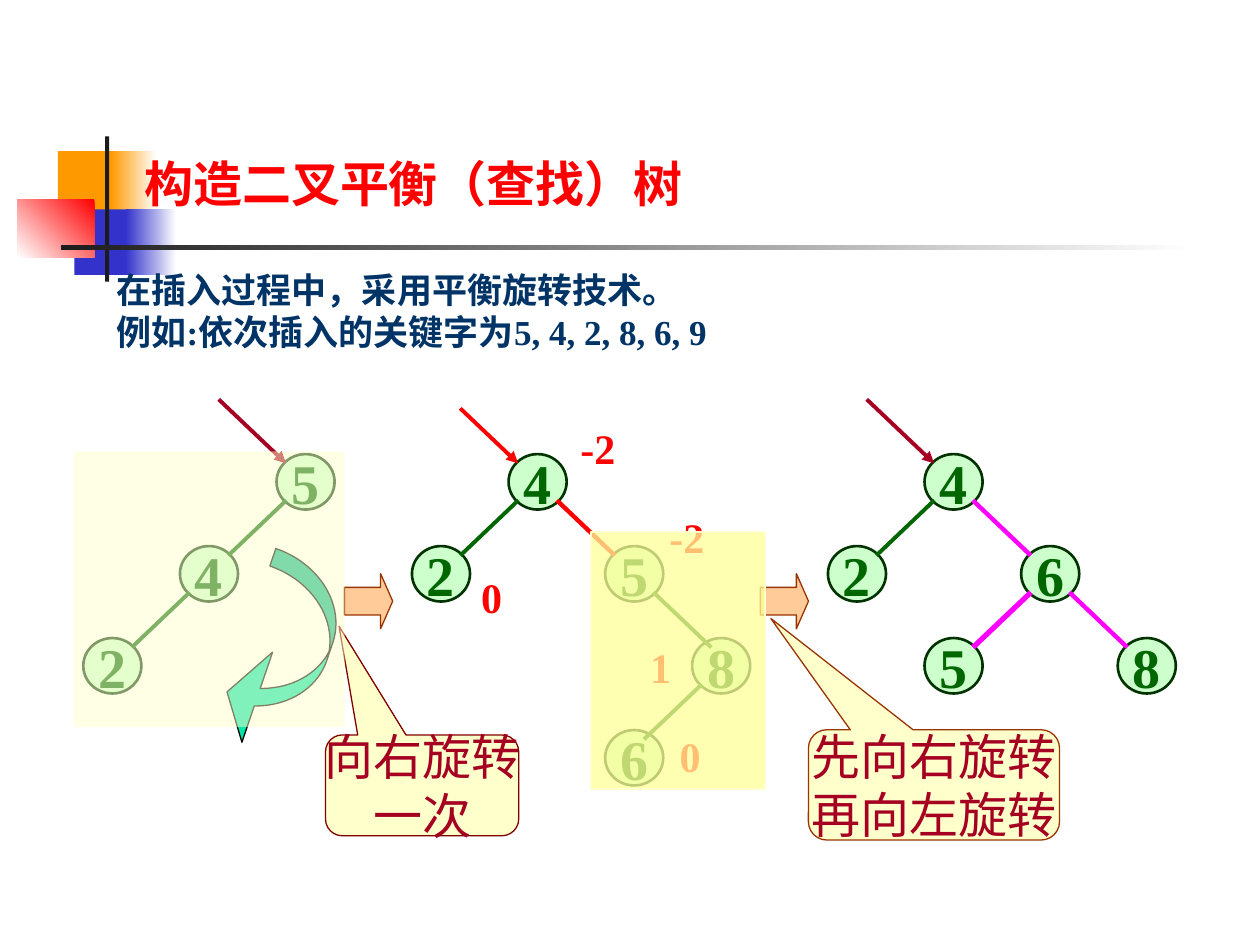
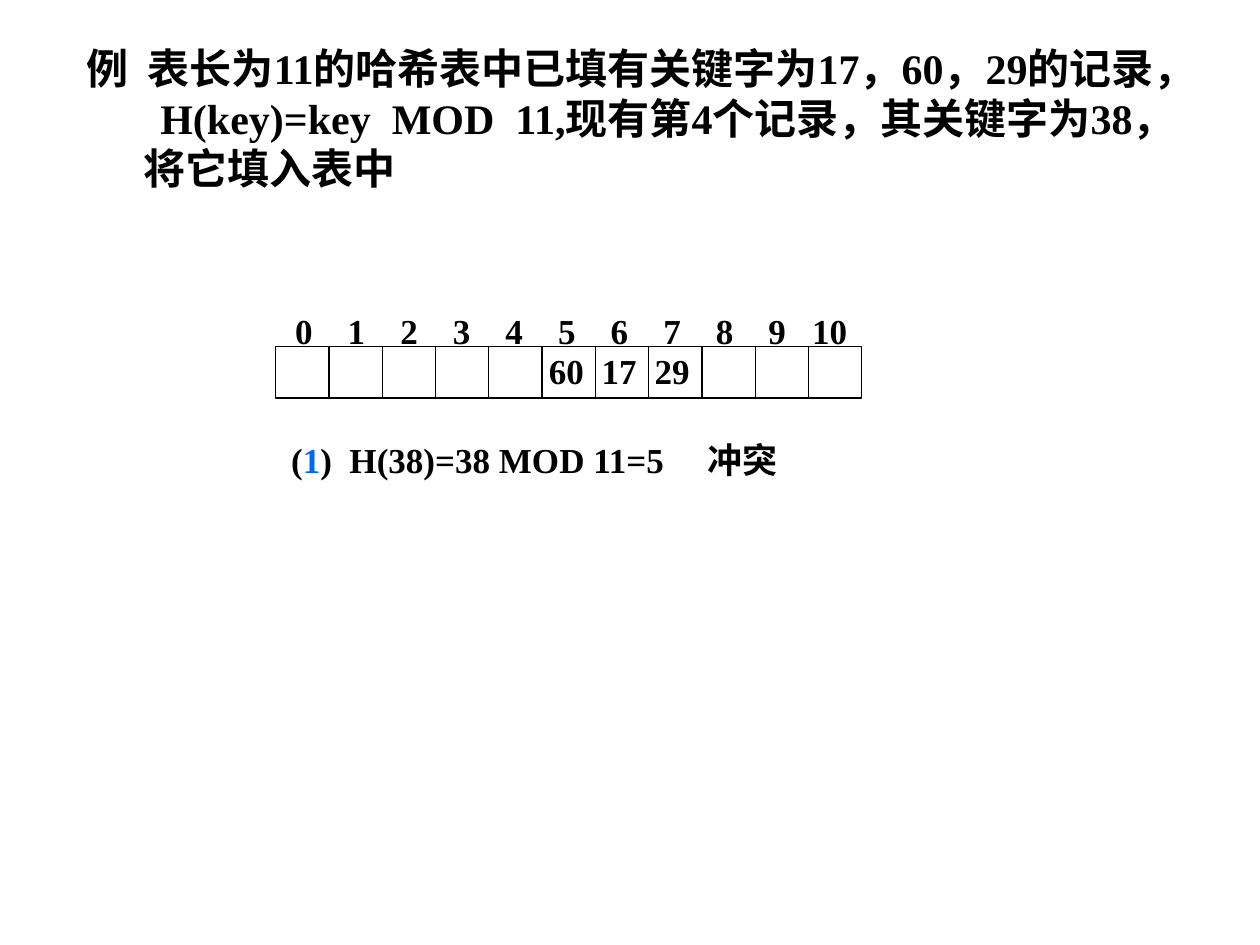
import pptx
import pptx.dml.color
import pptx.enum.shapes
import pptx.enum.text
import pptx.oxml.ns
import pptx.util
import lxml.etree

Pt = pptx.util.Pt
SHAPE = pptx.enum.shapes.MSO_SHAPE
ANCHOR = pptx.enum.text.MSO_ANCHOR
ALIGN = pptx.enum.text.PP_ALIGN

FONT = "Times New Roman"
COLORS = {
    "white": "FFFFFF", "black": "000000", "charcoal": "1C1C1C",
    "orange": "FF9900", "blue": "3333CC", "red": "FF0000",
    "navy": "003366", "link": "0066FF",
    "node": "CCFFCC", "node_line": "003300", "green": "006600",
    "magenta": "FF00FF", "crimson": "A50021", "maroon": "800000",
    "peach": "FFCC99", "brown": "993300",
    "cream": "FFFFCC", "yellow": "FFFF99", "teal": "00E4A8",
}
NODE_WIDTH, NODE_HEIGHT = 33.2, 31.7
COLUMN_STEP, ROW_STEP = 55.2, 52.56
ROOT_TOP = 259.5


def rgb(name):
    return pptx.dml.color.RGBColor.from_string(COLORS[name])


def add_xml(parent, tag, **attributes):
    return lxml.etree.SubElement(parent, pptx.oxml.ns.qn(tag), attributes)


def format_text(text_frame, size, color, bold=True, align=None):
    for paragraph in text_frame.paragraphs:
        paragraph.alignment = align
        for run in paragraph.runs:
            run.font.name = FONT
            run.font.size = Pt(size)
            run.font.bold = bold
            run.font.color.rgb = rgb(color)


def place(shape, left, top, width, height):
    shape.left, shape.top = Pt(left), Pt(top)
    shape.width, shape.height = Pt(width), Pt(height)


def add_shape(slide, kind, box, fill, line=None, weight=0.75, opacity=None):
    shape = slide.shapes.add_shape(kind, *map(Pt, box))
    shape.shadow.inherit = False
    if fill:
        shape.fill.solid()
        shape.fill.fore_color.rgb = rgb(fill)
    else:
        shape.fill.background()
    if opacity:
        color = shape.fill._xPr.find(".//" + pptx.oxml.ns.qn("a:srgbClr"))
        add_xml(color, "a:alpha", val=str(opacity * 1000))
    if line:
        shape.line.color.rgb = rgb(line)
        shape.line.width = Pt(weight)
    else:
        shape.line.fill.background()
    return shape


def add_gradient(slide, box, start, end, angle=0):
    shape = add_shape(slide, SHAPE.RECTANGLE, box, start)
    shape.fill.gradient()
    shape.fill.gradient_angle = angle
    for stop, color in zip(shape.fill.gradient_stops, (start, end)):
        stop.color.rgb = rgb(color)


def add_line(slide, start, end, color, weight, arrow=False):
    connector = slide.shapes.add_connector(
        pptx.enum.shapes.MSO_CONNECTOR.STRAIGHT, *map(Pt, start + end))
    connector.line.color.rgb = rgb(color)
    connector.line.width = Pt(weight)
    if arrow:
        add_xml(connector.line._get_or_add_ln(), "a:tailEnd", type="triangle")
    add_xml(connector.element.spPr, "a:effectLst")


def add_decoration(slide):
    for left, top, width, fade_left, fade_width, color in (
            (33.1, 86.4, 34.6, 63.4, 25.9, "orange"),
            (42.5, 119.7, 33.1, 72, 28.8, "blue")):
        add_shape(slide, SHAPE.RECTANGLE, (left, top, width, 37.4), color)
        add_gradient(slide, (fade_left, top, fade_width, 37.4), color, "white")
    add_gradient(slide, (10, 113.8, 44, 33.1), "red", "white", 225)
    add_shape(slide, SHAPE.RECTANGLE, (60, 78, 2.4, 83), "charcoal")
    add_gradient(slide, (34.6, 140.2, 648, 2.5), "charcoal", "white")


def fill_placeholder(slide, placeholder, text, box, size, color):
    slide.shapes.element.append(placeholder.element)
    place(placeholder, *box)
    text_frame = placeholder.text_frame
    text_frame.text = text
    text_frame.auto_size = pptx.enum.text.MSO_AUTO_SIZE.NONE
    text_frame.vertical_anchor = ANCHOR.TOP
    format_text(text_frame, size, color, align=ALIGN.LEFT)
    for paragraph in text_frame.paragraphs:
        paragraph.space_before = Pt(0)
        properties = paragraph._p.get_or_add_pPr()
        properties.set("marL", "0")
        properties.set("indent", "0")
        add_xml(properties, "a:buNone")
    return text_frame


def node_corner(root_left, column, row):
    return root_left + column * COLUMN_STEP, ROOT_TOP + row * ROW_STEP


def add_node(slide, key, left, top):
    node = add_shape(slide, SHAPE.OVAL, (left, top, NODE_WIDTH, NODE_HEIGHT),
                     "node", "node_line", 1.5)
    node.text_frame.text = key
    node.text_frame.word_wrap = False
    node.text_frame.vertical_anchor = ANCHOR.MIDDLE
    format_text(node.text_frame, 32, "green", align=ALIGN.CENTER)


def add_tree(slide, root_left, nodes, edges, pointer_color, pointer_length):
    for key, column, row in nodes:
        add_node(slide, key, *node_corner(root_left, column, row))
    for column, row, direction, color, weight in edges:
        left, top = node_corner(root_left, column, row)
        start_x = left + NODE_WIDTH / 2 + direction * 11
        start_y = top + 26.4
        add_line(slide, (start_x, start_y),
                 (start_x + direction * 33.1, start_y + 31.5), color, weight)
    tip = (root_left + 5.5, ROOT_TOP + 5.3)
    tail = (tip[0] - pointer_length, tip[1] - pointer_length * 0.95)
    add_line(slide, tail, tip, pointer_color, 2.25, arrow=True)


def add_callout(slide, text, box, line, pointer):
    callout = add_shape(slide, SHAPE.ROUNDED_RECTANGULAR_CALLOUT, box,
                        "cream", line)
    callout.adjustments[0], callout.adjustments[1] = pointer
    callout.text_frame.text = text
    callout.text_frame.word_wrap = False
    callout.text_frame.vertical_anchor = ANCHOR.MIDDLE
    format_text(callout.text_frame, 28, "crimson", False, ALIGN.CENTER)


def add_balance_factor(slide, text, left, top):
    label = slide.shapes.add_textbox(Pt(left), Pt(top), Pt(23), Pt(29))
    label.fill.solid()
    label.fill.fore_color.rgb = rgb("white")
    text_frame = label.text_frame
    text_frame.word_wrap = True
    text_frame.margin_left = text_frame.margin_right = 0
    text_frame.margin_top = text_frame.margin_bottom = 0
    text_frame.text = text
    format_text(text_frame, 24, "red")


def add_tabbed_text(slide, runs, box, tab_stops):
    textbox = slide.shapes.add_textbox(*map(Pt, box))
    textbox.text_frame.word_wrap = True
    paragraph = textbox.text_frame.paragraphs[0]
    for text in runs:
        paragraph.add_run().text = text
    format_text(textbox.text_frame, 20, "black")
    tabs = add_xml(paragraph._p.get_or_add_pPr(), "a:tabLst")
    for position in tab_stops:
        add_xml(tabs, "a:tab", pos=str(Pt(position)), algn="l")
    return paragraph


def add_hash_cells(slide, size):
    left, top, width, height = 157.5, 197.9, 335, 29.6
    add_tabbed_text(slide, ["\t".join(map(str, range(size)))],
                    (161.6, 173.6, 335, 31.7),
                    [30.05 * slot for slot in range(1, size - 1)] + [295.4])
    add_shape(slide, SHAPE.RECTANGLE, (left, top, width, height),
              None, "black")
    for slot in range(1, size):
        x = left + width * slot / size
        add_line(slide, (x, top), (x, top + height), "black", 0.75)
    add_tabbed_text(slide, ["60\t17\t29"], (306.6, 196.4, 100, 31.7),
                    (30.2, 60.4))


def build_rotation_slide(presentation):
    slide = presentation.slides.add_slide(presentation.slide_layouts[1])
    add_decoration(slide)
    fill_placeholder(slide, slide.shapes.title, "构造二叉平衡（查找）树",
                     (75.3, 84.2, 360, 41), 28, "red")
    intro = fill_placeholder(
        slide, slide.placeholders[1],
        "在插入过程中，采用平衡旋转技术。\n例如:依次插入的关键字为5, 4, 2, 8, 6, 9",
        (59.4, 144, 390, 61), 20, "navy")
    intro.paragraphs[0].line_spacing = 1.25

    add_tree(slide, 158,
             [("5", 0, 0), ("4", -1, 1), ("2", -2, 2)],
             [(0, 0, -1, "green", 2.25), (-1, 1, -1, "green", 2.25)],
             "crimson", 38.5)
    add_tree(slide, 290.6,
             [("4", 0, 0), ("2", -1, 1), ("5", 1, 1), ("8", 1.9, 2),
              ("6", 1, 3)],
             [(0, 0, -1, "green", 2.25), (0, 0, 1, "red", 2.5),
              (1, 1, 1, "green", 2.25), (1.9, 2, -1, "green", 2.25)],
             "red", 33.1)
    add_tree(slide, 528.3,
             [("4", 0, 0), ("2", -1, 1), ("6", 1, 1), ("5", 0, 2),
              ("8", 2, 2)],
             [(0, 0, -1, "green", 2.25), (0, 0, 1, "magenta", 2.5),
              (1, 1, -1, "magenta", 3), (1, 1, 1, "magenta", 2.5)],
             "crimson", 38.5)

    for left in (196.8, 434.4):
        arrow = add_shape(slide, SHAPE.RIGHT_ARROW, (left, 327.8, 27.6, 31.5),
                          "peach", "brown")
        arrow.adjustments[1] = 0.25
    add_callout(slide, "向右旋转\n一次", (186, 420, 110.4, 57.6),
                "maroon", (-0.43, -1.58))
    add_callout(slide, "先向右旋转\n再向左旋转", (462, 417, 143.5, 63),
                "brown", (-0.65, -1.51))
    turn = add_shape(slide, SHAPE.CURVED_LEFT_ARROW,
                     (138, 318.2, 48.2, 113.8), "teal", "black")
    turn.rotation = 18.8
    for index, value in enumerate((0.22, 1.13, 0.36)):
        turn.adjustments[index] = value
    add_shape(slide, SHAPE.RECTANGLE, (42.2, 258, 154.8, 157.5), "cream",
              opacity=50)
    for text, left, top in (("0", 388.3, 417.6), ("1", 371.5, 366.5),
                            ("-2", 382.5, 292.5), ("-2", 331.7, 241.6),
                            ("0", 275, 326.6)):
        add_balance_factor(slide, text, left, top)
    add_shape(slide, SHAPE.RECTANGLE, (337.7, 304, 99.4, 146.9), "yellow",
              "cream", opacity=75)


def build_hash_slide(presentation):
    slide = presentation.slides.add_slide(presentation.slide_layouts[1])
    title = slide.shapes.title.element
    title.getparent().remove(title)
    problem = fill_placeholder(
        slide, slide.placeholders[1],
        "例  表长为11的哈希表中已填有关键字为17，60，29的记录，\n"
        "H(key)=key  MOD  11,现有第4个记录，其关键字为38，\n"
        "将它填入表中",
        (42.4, 20.5, 663, 122.4), 24, "black")
    for paragraph, indent in zip(problem.paragraphs[1:], (42, 32.5)):
        paragraph._p.get_or_add_pPr().set("indent", str(Pt(indent)))
    add_hash_cells(slide, 11)
    probe = add_tabbed_text(slide, ("(", "1", ")  H(38)=38 MOD 11=5\t冲突"),
                            (159.3, 247.3, 300, 31.7), [238])
    probe.runs[1].font.color.rgb = rgb("link")


def main():
    presentation = pptx.Presentation()
    presentation.slide_width, presentation.slide_height = Pt(720), Pt(540)
    build_rotation_slide(presentation)
    build_hash_slide(presentation)
    presentation.save("out.pptx")


if __name__ == "__main__":
    main()
